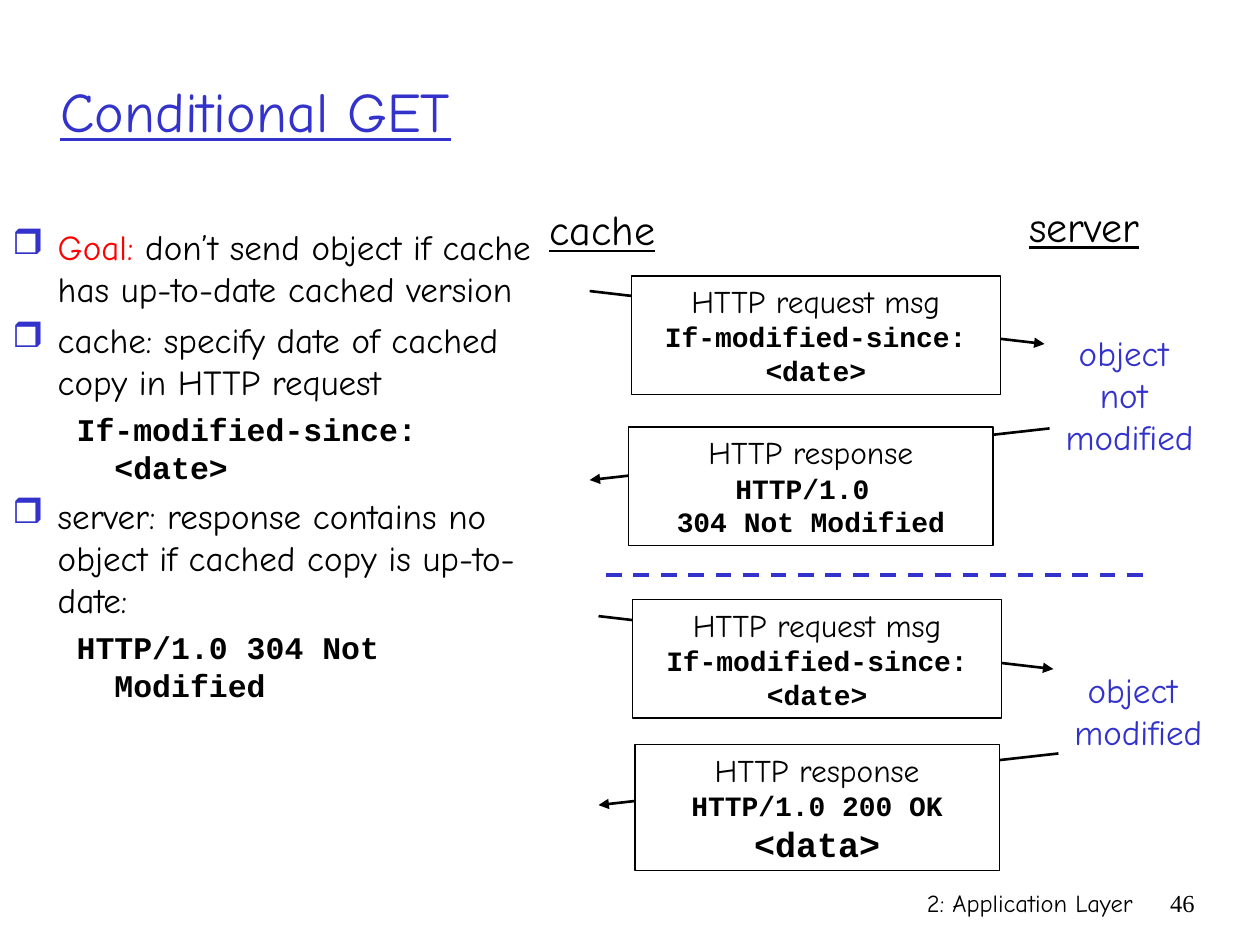
import dataclasses

import pptx
import pptx.dml.color
import pptx.enum.dml
import pptx.enum.shapes
import pptx.enum.text
import pptx.oxml
import pptx.oxml.ns
import pptx.util

RGB = pptx.dml.color.RGBColor
BLACK = RGB(0x00, 0x00, 0x00)
WHITE = RGB(0xFF, 0xFF, 0xFF)
BLUE = RGB(0x33, 0x33, 0xCC)
RED = RGB(0xFF, 0x00, 0x00)

ALIGN = pptx.enum.text.PP_ALIGN
ANCHOR = pptx.enum.text.MSO_ANCHOR
COMIC, MONO, TIMES = "Comic Neue", "Courier New", "Times New Roman"

# The slide is a grid of 10 columns by 7.5 rows.
WIDE, HIGH = pptx.util.Inches(10), pptx.util.Inches(7.5)
COL, ROW = WIDE / 10, HIGH / 7.5


@dataclasses.dataclass(frozen=True)
class Run:
    text: str
    size: float
    face: str = COMIC
    color: RGB = BLACK
    bold: bool = False
    under: bool = False


@dataclasses.dataclass(frozen=True)
class Para:
    runs: tuple[Run, ...]
    align: ALIGN = ALIGN.CENTER
    before: float = 0
    left: float = 0
    hang: float = 0
    bullet: str = ""


@dataclasses.dataclass(frozen=True)
class Box:
    """Text in an area given in columns and rows."""
    area: tuple[float, float, float, float]
    paras: tuple[Para, ...]
    wrap: bool = True


@dataclasses.dataclass(frozen=True)
class Trade:
    """A request and its response, with the server's verdict."""
    left: float
    top: float
    ask: Box
    reply: Box
    note: Box


def place(area: tuple[float, ...]) -> list[int]:
    return [round(part * unit) for part, unit in zip(area, (COL, ROW) * 2)]


def write(frame, paras: tuple[Para, ...], wrap: bool = True,
          anchor: ANCHOR = ANCHOR.TOP) -> None:
    looks = {"word_wrap": wrap, "vertical_anchor": anchor,
             "auto_size": pptx.enum.text.MSO_AUTO_SIZE.NONE}
    for name, value in looks.items():
        setattr(frame, name, value)
    for i, para in enumerate(paras):
        line = frame.add_paragraph() if i else frame.paragraphs[0]
        line.alignment = para.align
        line.space_before = pptx.util.Pt(para.before)
        props = line._p.get_or_add_pPr()
        props.set("marL", str(round(para.left * COL)))
        props.set("indent", str(round(-para.hang * COL)))
        if para.bullet:
            space = pptx.oxml.ns.nsdecls("a")
            for xml in (f'<a:buClr {space}><a:srgbClr val="{BLUE}"/></a:buClr>',
                        f'<a:buChar {space} char="{para.bullet}"/>'):
                props.append(pptx.oxml.parse_xml(xml))
        for run in para.runs:
            piece = line.add_run()
            piece.text = run.text
            style = {"size": pptx.util.Pt(run.size), "name": run.face,
                     "bold": run.bold, "underline": run.under}
            for name, value in style.items():
                setattr(piece.font, name, value)
            piece.font.color.rgb = run.color


def label(slide, box: Box) -> None:
    text = slide.shapes.add_textbox(*place(box.area))
    write(text.text_frame, box.paras, box.wrap)


def card(slide, box: Box) -> None:
    """Draw a message in a white frame."""
    shape = slide.shapes.add_shape(
        pptx.enum.shapes.MSO_SHAPE.RECTANGLE, *place(box.area))
    shape.shadow.inherit = False
    shape.fill.solid()
    shape.fill.fore_color.rgb = WHITE
    shape.line.color.rgb = BLACK
    shape.line.width = pptx.util.Pt(0.75)
    write(shape.text_frame, box.paras)


def rule(slide, ends: tuple[float, ...], color: RGB = BLACK,
         width: float = 1.5, dash: bool = False) -> None:
    """Draw a dashed line, or a solid one with an arrowhead."""
    link = slide.shapes.add_connector(
        pptx.enum.shapes.MSO_CONNECTOR.STRAIGHT, *place(ends))
    link.line.color.rgb = color
    link.line.width = pptx.util.Pt(width)
    props = link.element.spPr
    if dash:
        link.line.dash_style = pptx.enum.dml.MSO_LINE.DASH
    else:
        head = pptx.oxml.parse_xml(
            f'<a:tailEnd {pptx.oxml.ns.nsdecls("a")} type="triangle"/>')
        props.find(pptx.oxml.ns.qn("a:ln")).append(head)
    props.append(pptx.oxml.parse_xml(
        f'<a:effectLst {pptx.oxml.ns.nsdecls("a")}/>'))


def swap(slide, trade: Trade) -> None:
    """Draw both arrows of a trade, then the messages over them."""
    x, y = trade.left, trade.top
    rule(slide, (x, y, x + 3.61, y + 0.42))
    rule(slide, (x + 3.65, y + 1.09, x, y + 1.5))
    card(slide, trade.ask)
    card(slide, trade.reply)
    label(slide, trade.note)


def plain(text: str, size: float, **look) -> Para:
    return Para((Run(text, size, **look),))


def code(text: str, size: float = 16) -> Para:
    return plain(text, size, face=MONO, bold=True)


def point(*runs: Run) -> Para:
    return Para(runs, ALIGN.LEFT, 5, 0.36, 0.36, "❒")


def quote(text: str) -> Para:
    return Para((Run(text, 18, MONO, bold=True),), ALIGN.LEFT, 4.5, 0.81, 0.3)


def verdict(*words: str) -> tuple[Para, ...]:
    return tuple(plain(word, 20, color=BLUE) for word in words)


TITLE = Box((0.38, 0.25, 8.71, 1.25), (
    Para((Run("Conditional GET", 32, color=BLUE, under=True),), ALIGN.LEFT),))
ASK = (plain("HTTP request msg", 18), code("If-modified-since: <date>"))
REPLY = plain("HTTP response", 18)

LABELS = (
    Box((5.92, 7, 3.17, 0.5),
        (Para((Run("2: Application Layer", 14),), ALIGN.RIGHT),)),
    Box((9.08, 7, 0.5, 0.5), (Para((Run("46", 14, TIMES),), ALIGN.RIGHT),)),
    Box((0, 1.74, 4.42, 4.71), (
        point(Run("Goal:", 20, color=RED),
              Run(" don’t send object if cache has up-to-date cached version", 20)),
        point(Run("cache: specify date of cached copy in HTTP request", 20)),
        quote("If-modified-since: <date>"),
        point(Run("server: response contains no object if cached copy is "
                  "up-to-date:", 20)),
        quote("HTTP/1.0 304 Not Modified"))),
    Box((4.26, 1.57, 1.04, 0.5), (plain("cache", 24, under=True),), False),
    Box((8.07, 1.54, 1.07, 0.5), (plain("server", 24, under=True),), False),
)

TRADES = (
    Trade(4.68, 2.31,
          Box((5.01, 2.19, 2.93, 0.94), ASK),
          Box((4.99, 3.39, 2.89, 0.94),
              (REPLY, code("HTTP/1.0 "), code("304 Not Modified"))),
          Box((8.36, 2.58, 1.21, 1.1),
              verdict("object ", "not ", "modified"), False)),
    Trade(4.75, 4.89,
          Box((5.02, 4.76, 2.93, 0.94), ASK),
          Box((5.04, 5.91, 2.89, 1),
              (REPLY, code("HTTP/1.0 200 OK"), code("<data>", 20))),
          Box((8.43, 5.26, 1.21, 0.77), verdict("object ", "modified"), False)),
)


def main() -> None:
    deck = pptx.Presentation()
    deck.slide_width, deck.slide_height = WIDE, HIGH
    slide = deck.slides.add_slide(deck.slide_layouts[5])
    title = slide.shapes.title
    for name, value in zip(("left", "top", "width", "height"), place(TITLE.area)):
        setattr(title, name, value)
    write(title.text_frame, TITLE.paras, anchor=ANCHOR.MIDDLE)
    for box in LABELS:
        label(slide, box)
    for trade in TRADES:
        swap(slide, trade)
    rule(slide, (4.81, 4.56, 9.08, 4.56), BLUE, 2.25, dash=True)
    deck.save("out.pptx")


if __name__ == "__main__":
    main()
